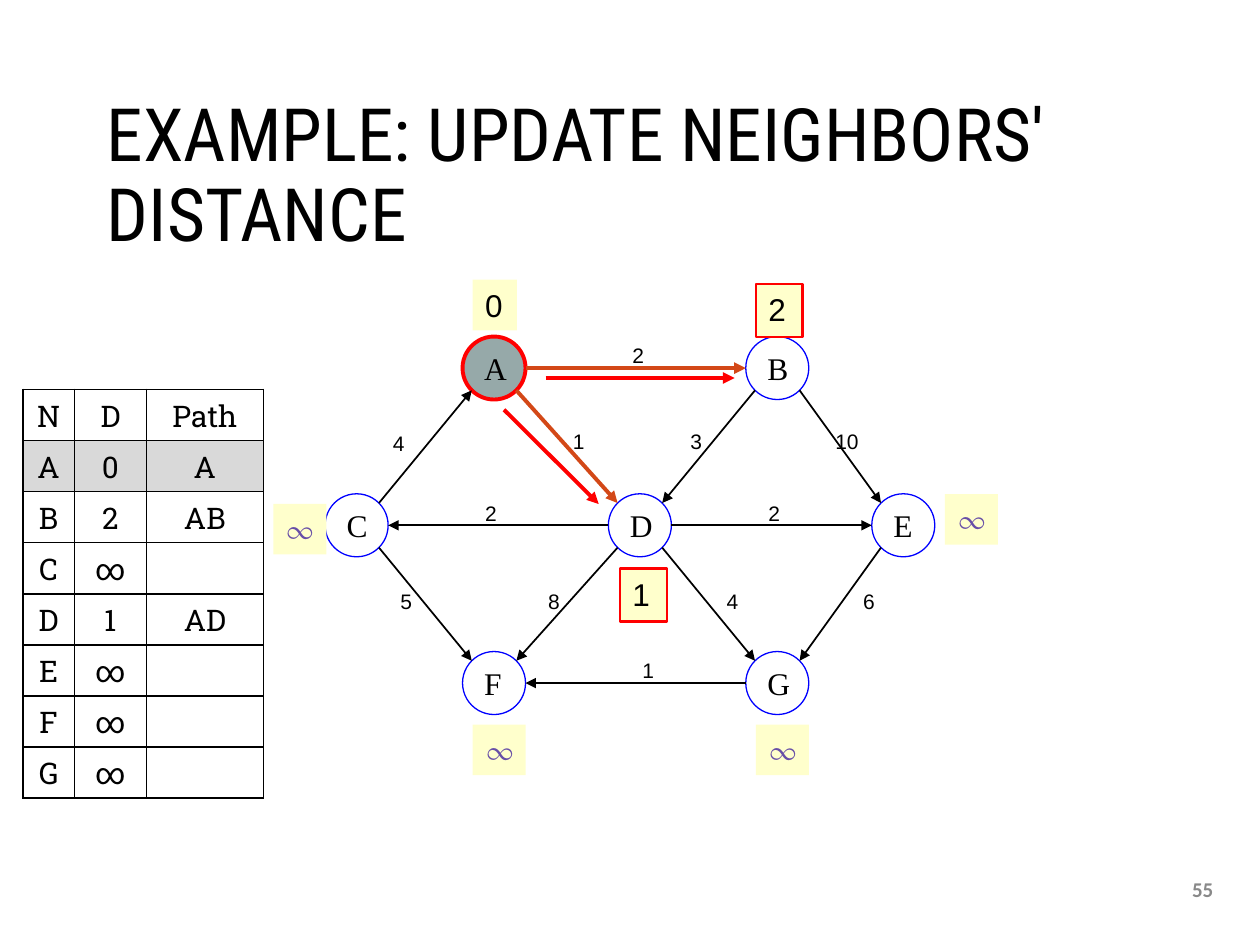
"""Build the slide showing the neighbour update step of a shortest path search."""
from dataclasses import dataclass
from math import sqrt
from typing import Any, NamedTuple, Optional

from lxml import etree
from pptx import Presentation
from pptx.dml.color import RGBColor
from pptx.enum.shapes import MSO_CONNECTOR, MSO_SHAPE
from pptx.enum.text import MSO_ANCHOR, MSO_AUTO_SIZE, PP_ALIGN
from pptx.oxml.ns import qn
from pptx.util import Cm, Pt

STRAIGHT = MSO_CONNECTOR.STRAIGHT
OVAL, RECTANGLE = MSO_SHAPE.OVAL, MSO_SHAPE.RECTANGLE
TOP, MIDDLE = MSO_ANCHOR.TOP, MSO_ANCHOR.MIDDLE
LEFT, CENTER = PP_ALIGN.LEFT, PP_ALIGN.CENTER
GROW, FIXED = MSO_AUTO_SIZE.SHAPE_TO_FIT_TEXT, MSO_AUTO_SIZE.NONE


class TextStyle(NamedTuple):
    font: str
    size: float
    color: str = "000000"
    bold: bool = False


@dataclass(frozen=True)
class Theme:
    title: TextStyle = TextStyle("Roboto Condensed", 42)
    number: TextStyle = TextStyle("Calibri", 12, "898989", True)
    node: TextStyle = TextStyle("Times New Roman", 18)
    weight: TextStyle = TextStyle("Arial", 12)
    distance: TextStyle = TextStyle("Arial", 18)
    infinity: TextStyle = TextStyle("TeX Gyre Pagella", 18, "674EA7")
    table: TextStyle = TextStyle("Roboto Slab", 17)
    black: str = "000000"
    blue: str = "0000FF"
    red: str = "FF0000"
    orange: str = "D34817"
    visited: str = "96A9A9"
    badge: str = "FFFFCC"
    visited_row: str = "D9D9D9"


class Box(NamedTuple):
    left: float
    top: float
    width: float
    height: float


class Node(NamedTuple):
    x: float
    y: float
    visited: bool = False


class Edge(NamedTuple):
    start: str
    end: str
    weight: str
    label_left: float
    label_top: float
    relaxed: bool = False


class Badge(NamedTuple):
    text: str
    box: Box
    updated: bool = False


THEME = Theme()
RADIUS = 0.635
NODES = {
    "A": Node(9.96, 7.42, True),
    "B": Node(15.67, 7.42),
    "C": Node(7.19, 10.59),
    "D": Node(12.9, 10.59),
    "E": Node(18.21, 10.59),
    "F": Node(9.96, 13.77),
    "G": Node(15.67, 13.77),
}
EDGES = [
    Edge("A", "B", "2", 12.5, 6.78, True),
    Edge("A", "D", "1", 11.3, 8.51, True),
    Edge("B", "D", "3", 13.67, 8.51),
    Edge("B", "E", "10", 16.59, 8.51),
    Edge("C", "A", "4", 7.67, 8.56),
    Edge("C", "F", "5", 7.82, 11.73),
    Edge("D", "C", "2", 9.53, 9.96),
    Edge("D", "E", "2", 15.24, 9.96),
    Edge("D", "F", "8", 10.8, 11.73),
    Edge("D", "G", "4", 14.4, 11.73),
    Edge("E", "G", "6", 17.15, 11.73),
    Edge("G", "F", "1", 12.7, 13.13),
]
BADGES = [
    Badge("0", Box(9.53, 5.64, 0.89, 1.02)),
    Badge("2", Box(15.24, 5.72, 0.94, 1.07), True),
    Badge("∞", Box(5.51, 10.16, 1.07, 1.02)),
    Badge("∞", Box(19.05, 9.96, 1.07, 1.02)),
    Badge("1", Box(12.5, 11.46, 0.94, 1.07), True),
    Badge("∞", Box(9.53, 14.61, 1.07, 1.02)),
    Badge("∞", Box(15.24, 14.61, 1.07, 1.02)),
]
UPDATE_ARROWS = [((10.16, 8.26), (12.07, 10.16)), ((11.0, 7.62), (14.81, 7.62))]
ROWS = [
    ("N", "D", "Path"), ("A", "0", "A"), ("B", "2", "AB"), ("C", "∞", ""),
    ("D", "1", "AD"), ("E", "∞", ""), ("F", "∞", ""), ("G", "∞", ""),
]
COLUMN_WIDTHS = (1.04, 1.45, 2.36)
ROW_HEIGHT = 1.03
VISITED_ROW = 1


def lengths(box: Box) -> list[Cm]:
    return [Cm(value) for value in box]


def set_format(target: Any, values: dict[str, Any]) -> None:
    for name, value in values.items():
        setattr(target, name, value)


def write(frame: Any, text: str, style: TextStyle, align: PP_ALIGN = LEFT, **frame_format: Any) -> None:
    set_format(frame, frame_format)
    paragraph = frame.paragraphs[0]
    paragraph.alignment = align
    if text:
        run = paragraph.add_run()
        run.text = text
        set_format(run.font, {"name": style.font, "size": Pt(style.size), "bold": style.bold})
        run.font.color.rgb = RGBColor.from_string(style.color)


def paint(target: Any, color: Optional[str]) -> None:
    if color is None:
        target.fill.background()
    else:
        target.fill.solid()
        target.fill.fore_color.rgb = RGBColor.from_string(color)


def outline(line: Any, color: str, width: float) -> None:
    line.color.rgb = RGBColor.from_string(color)
    line.width = Pt(width)


def add_figure(slide: Any, kind: MSO_SHAPE, box: Box, fill: Optional[str],
               line: Optional[tuple[str, float]]) -> Any:
    shape = slide.shapes.add_shape(kind, *lengths(box))
    shape.shadow.inherit = False
    paint(shape, fill)
    if line:
        outline(shape.line, *line)
    else:
        shape.line.fill.background()
    return shape


def add_node(slide: Any, name: str, node: Node) -> None:
    box = Box(node.x - RADIUS, node.y - RADIUS, 2 * RADIUS, 2 * RADIUS)
    fill, line = (THEME.visited, (THEME.red, 2.25)) if node.visited else (None, (THEME.blue, 0.75))
    shape = add_figure(slide, OVAL, box, fill, line)
    write(shape.text_frame, name, THEME.node, word_wrap=False, vertical_anchor=MIDDLE)


def add_badge(slide: Any, badge: Badge) -> None:
    line = (THEME.red, 1.25) if badge.updated else None
    shape = add_figure(slide, RECTANGLE, badge.box, THEME.badge, line)
    style = THEME.infinity if badge.text == "∞" else THEME.distance
    write(shape.text_frame, badge.text, style, word_wrap=False, vertical_anchor=TOP, auto_size=GROW)


def add_arrow(slide: Any, start: tuple[float, float], end: tuple[float, float],
              color: str, width: float) -> None:
    connector = slide.shapes.add_connector(STRAIGHT, *(Cm(value) for value in start + end))
    outline(connector.line, color, width)
    etree.SubElement(connector.line._get_or_add_ln(), qn("a:tailEnd"), type="triangle")
    etree.SubElement(connector._element.spPr, qn("a:effectLst"))


def rim_point(node: Node, toward: Node) -> tuple[float, float]:
    across = (toward.x > node.x) - (toward.x < node.x)
    down = (toward.y > node.y) - (toward.y < node.y)
    reach = RADIUS / sqrt(abs(across) + abs(down))
    return node.x + across * reach, node.y + down * reach


def add_edge(slide: Any, edge: Edge) -> None:
    start, end = NODES[edge.start], NODES[edge.end]
    color, width = (THEME.orange, 2.25) if edge.relaxed else (THEME.black, 1)
    add_arrow(slide, rim_point(start, end), rim_point(end, start), color, width)
    box = Box(edge.label_left, edge.label_top, 0.52 + 0.24 * len(edge.weight), 0.76)
    label = slide.shapes.add_textbox(*lengths(box))
    write(label.text_frame, edge.weight, THEME.weight, word_wrap=False, vertical_anchor=MIDDLE, auto_size=GROW)


def add_border(cell: Any) -> None:
    properties = cell._tc.get_or_add_tcPr()
    for side in ("lnL", "lnR", "lnT", "lnB"):
        border = etree.SubElement(properties, qn(f"a:{side}"), w=str(Pt(1)))
        fill = etree.SubElement(border, qn("a:solidFill"))
        etree.SubElement(fill, qn("a:srgbClr"), val=THEME.black)


def add_distance_table(slide: Any) -> None:
    box = Box(0.46, 7.85, sum(COLUMN_WIDTHS), ROW_HEIGHT * len(ROWS))
    table = slide.shapes.add_table(len(ROWS), len(COLUMN_WIDTHS), *lengths(box)).table
    set_format(table, {"first_row": False, "horz_banding": False})
    for column, width in zip(table.columns, COLUMN_WIDTHS):
        column.width = Cm(width)
    for row_index, texts in enumerate(ROWS):
        for column_index, text in enumerate(texts):
            cell = table.cell(row_index, column_index)
            add_border(cell)
            paint(cell, THEME.visited_row if row_index == VISITED_ROW else None)
            write(cell.text_frame, text, THEME.table, CENTER)


def main() -> None:
    presentation = Presentation()
    set_format(presentation, {"slide_width": Cm(25.4), "slide_height": Cm(19.05)})
    slide = presentation.slides.add_slide(presentation.slide_layouts[5])
    title = slide.shapes.title
    set_format(title, dict(zip(Box._fields, lengths(Box(1.9, 1.35, 21.59, 4.47)))))
    write(title.text_frame, "EXAMPLE: UPDATE NEIGHBORS' DISTANCE", THEME.title,
          word_wrap=True, vertical_anchor=MIDDLE, auto_size=FIXED)
    title.text_frame.paragraphs[0].line_spacing = 0.9
    number = slide.shapes.add_textbox(*lengths(Box(23.57, 17.42, 1.35, 1.02)))
    write(number.text_frame, "55", THEME.number, CENTER, word_wrap=True, vertical_anchor=MIDDLE)
    for name, node in NODES.items():
        add_node(slide, name, node)
    for edge in EDGES:
        add_edge(slide, edge)
    for badge in BADGES:
        add_badge(slide, badge)
    for start, end in UPDATE_ARROWS:
        add_arrow(slide, start, end, THEME.red, 2.25)
    add_distance_table(slide)
    presentation.save("out.pptx")


if __name__ == "__main__":
    main()
